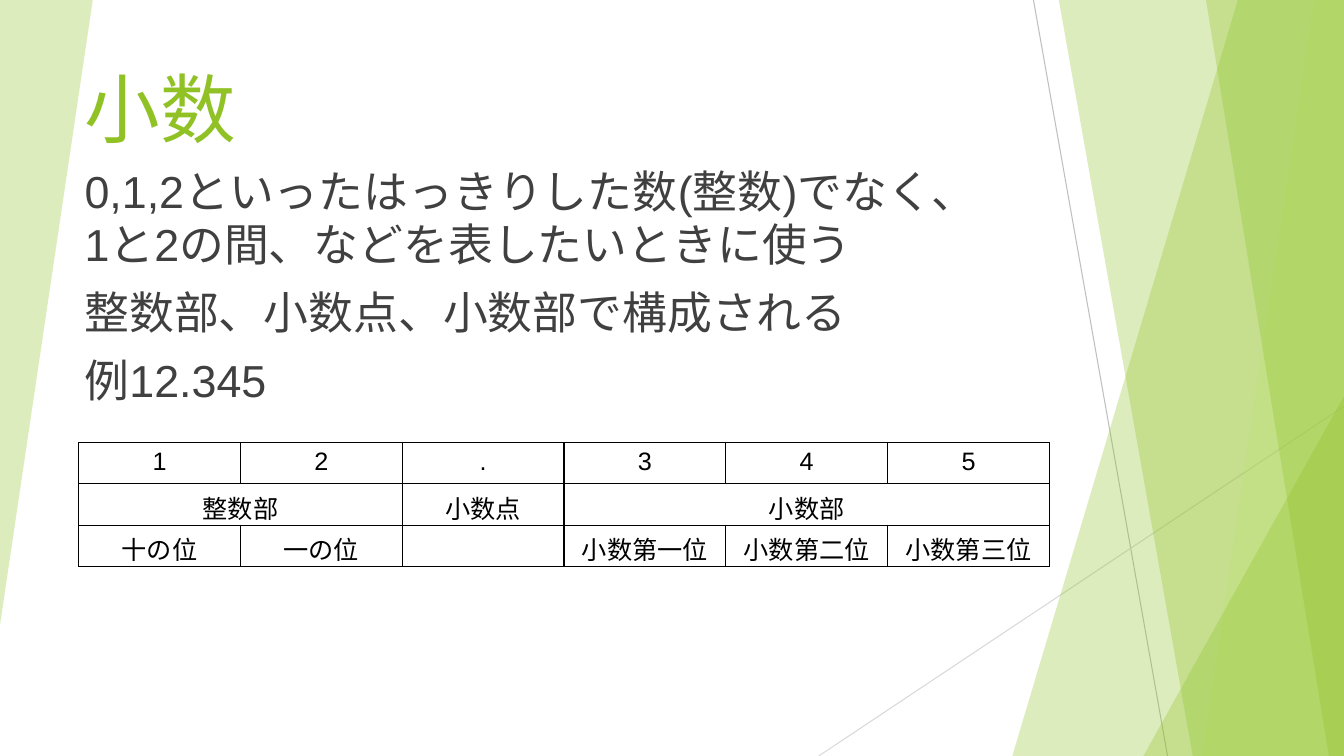
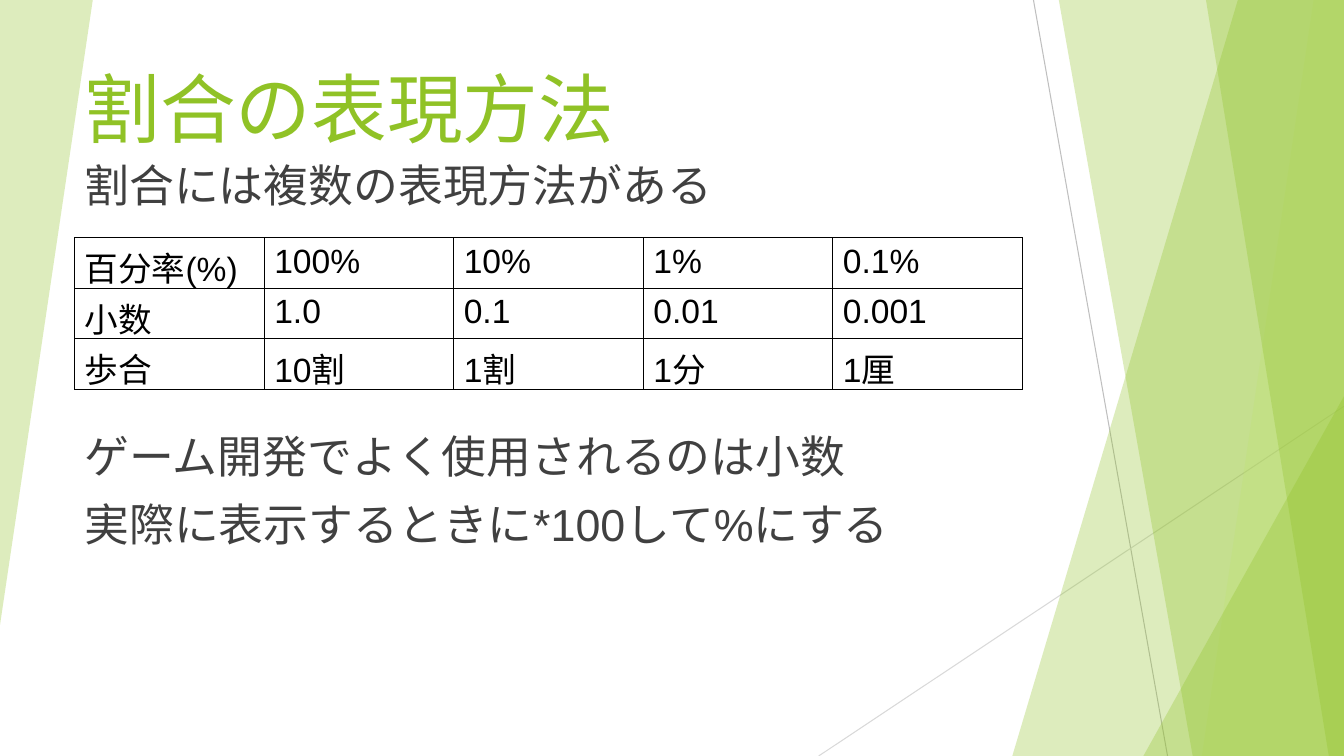
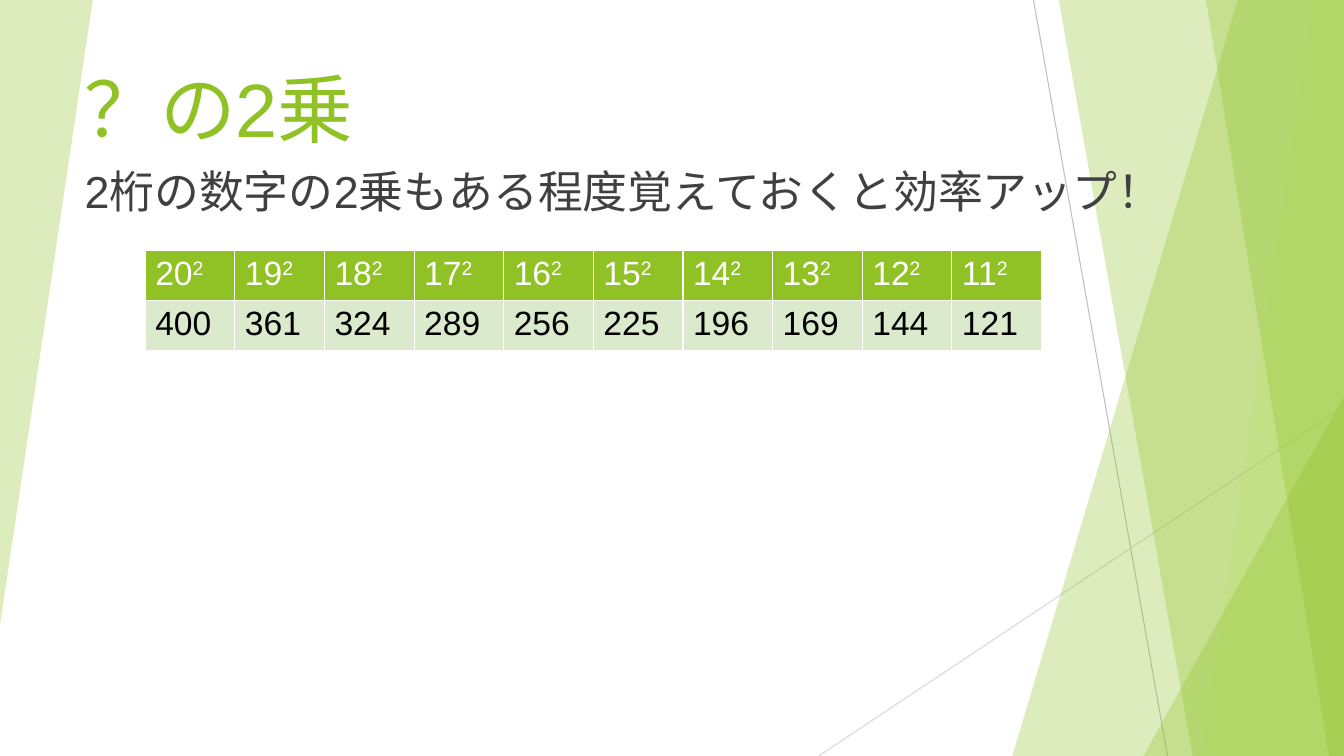
from pptx import Presentation
from pptx.dml.color import RGBColor
from pptx.enum.shapes import MSO_CONNECTOR, MSO_SHAPE
from pptx.enum.text import MSO_ANCHOR, PP_ALIGN
from pptx.oxml import parse_xml
from pptx.oxml.ns import nsdecls
from pptx.util import Inches, Pt

GREEN = RGBColor(0x90, 0xC2, 0x26)
LIME = RGBColor(0xC0, 0xE4, 0x74)
PALE = RGBColor(0xDB, 0xE9, 0xCD)
SILVER = RGBColor(0xBF, 0xBF, 0xBF)
MIST = RGBColor(0xD9, 0xD9, 0xD9)
INK = RGBColor(0x40, 0x40, 0x40)
BLACK = RGBColor(0, 0, 0)
WHITE = RGBColor(0xFF, 0xFF, 0xFF)

FONT = "Arial"
W, H = 13.33, 7.5
TOP = -0.01
LEFT = 0.74
WIDE = 11.81

# Each facet: top left x, top right x, bottom left x, colour
FACETS = [
    (12.28, W, 10.04, GREEN),
    (10.5, W, 11.83, GREEN),
    (13.03, W, 11.92, LIME),
    (11.96, W, 13.18, GREEN),
]
TRIANGLES = [((11.34, 3.93, 1.99, 3.57), 0), ((0, 0, 0.92, 6.2), 180)]
LINES = [((10.25, 0), (11.58, H), SILVER), ((W, 4.03), (8.12, H), MIST)]


class Deck:
    def __init__(self):
        self.prs = Presentation()
        self.prs.slide_width = Inches(W)
        self.prs.slide_height = Inches(H)

    def slide(self, title):
        self.s = self.prs.slides.add_slide(self.prs.slide_layouts[6])
        for start, end, color in LINES:
            self.line(start, end, color)
        for left, right, bottom, color in FACETS:
            self.facet([(left, TOP), (right, TOP), (W, H), (bottom, H)], color)
        for box, rotation in TRIANGLES:
            self.triangle(box, rotation)
        self.text((LEFT, 0.67, WIDE, 0.72), [title], 54, GREEN, line_spacing=0.9)

    def line(self, start, end, color):
        points = [Inches(v) for v in start + end]
        c = self.s.shapes.add_connector(MSO_CONNECTOR.STRAIGHT, *points)
        c.line.color.rgb = color
        c.line.width = Pt(0.75)
        c._element.spPr.append(parse_xml(f"<a:effectLst {nsdecls('a')}/>"))

    def tint(self, sp, color):
        """Fill with a 30 % opaque colour, without outline or shadow."""
        sp.shadow.inherit = False
        sp.line.fill.background()
        sp.fill.solid()
        sp.fill.fore_color.rgb = color
        clr = sp._element.spPr.xpath("./a:solidFill/a:srgbClr")[0]
        clr.append(parse_xml(f'<a:alpha {nsdecls("a")} val="30000"/>'))

    def facet(self, points, color):
        first, *rest = [(Inches(x), Inches(y)) for x, y in points]
        builder = self.s.shapes.build_freeform(*first)
        builder.add_line_segments(rest, close=True)
        self.tint(builder.convert_to_shape(), color)

    def triangle(self, box, rotation):
        sp = self.s.shapes.add_shape(
            MSO_SHAPE.ISOSCELES_TRIANGLE, *[Inches(v) for v in box])
        sp.adjustments[0] = 1
        sp.rotation = rotation
        self.tint(sp, GREEN)

    def style(self, p, size, color, **formats):
        for name, value in formats.items():
            setattr(p, name, value)
        for r in p.runs:
            r.font.name = FONT
            r.font.size = Pt(size)
            r.font.color.rgb = color

    def text(self, box, lines, size, color, **formats):
        sp = self.s.shapes.add_textbox(*[Inches(v) for v in box])
        tf = sp.text_frame
        tf.word_wrap = True
        tf.vertical_anchor = MSO_ANCHOR.TOP
        for i, line in enumerate(lines):
            p = tf.add_paragraph() if i else tf.paragraphs[0]
            p.text = line
            self.style(p, size, color, **formats)
        return tf

    def body(self, lines, top=1.57, width=WIDE):
        return self.text((LEFT, top, width, 5.09), lines, 32, INK,
                         line_spacing=Pt(38.4), space_before=Pt(10))

    def borders(self, cell, color):
        tcPr = cell._tc.get_or_add_tcPr()
        for i, side in enumerate("LRTB"):
            tcPr.insert(i, parse_xml(
                f'<a:ln{side} {nsdecls("a")} w="12700"><a:solidFill>'
                f'<a:srgbClr val="{color}"/></a:solidFill></a:ln{side}>'))

    def table(self, left, top, width, rows, size, align=PP_ALIGN.LEFT,
              border=BLACK, looks=None, merges=()):
        """Draw rows; looks gives (fill, text colour) per row, ^ a superscript."""
        frame = self.s.shapes.add_table(
            len(rows), len(rows[0]), Inches(left), Inches(top),
            Inches(width), Inches(0.41 * len(rows)))
        t = frame.table
        t.first_row = t.horz_banding = False
        for i, row in enumerate(rows):
            fill, color = looks[i] if looks else (None, BLACK)
            for j, value in enumerate(row):
                cell = t.cell(i, j)
                if fill is None:
                    cell.fill.background()
                else:
                    cell.fill.solid()
                    cell.fill.fore_color.rgb = fill
                self.borders(cell, border)
                p = cell.text_frame.paragraphs[0]
                base, _, power = value.partition("^")
                if base:
                    p.add_run().text = base
                if power:
                    r = p.add_run()
                    r.text = power
                    r.font._element.set("baseline", "30000")
                self.style(p, size, color, alignment=align)
        for row, first, last in merges:
            t.cell(row, first).merge(t.cell(row, last))


def main():
    deck = Deck()

    deck.slide("小数")
    deck.body(["0,1,2といったはっきりした数(整数)でなく、\v1と2の間、などを表したいときに使う",
               "整数部、小数点、小数部で構成される",
               "例12.345"])
    deck.table(0.78, 4.39, 9.63, [
        ["1", "2", ".", "3", "4", "5"],
        ["整数部", "", "小数点", "小数部", "", ""],
        ["十の位", "一の位", "", "小数第一位", "小数第二位", "小数第三位"],
    ], 18, PP_ALIGN.CENTER, merges=[(1, 0, 1), (1, 3, 5)])

    deck.slide("割合の表現方法")
    deck.table(LEFT, 2.36, 9.4, [
        ["百分率(%)", "100%", "10%", "1%", "0.1%"],
        ["小数", "1.0", "0.1", "0.01", "0.001"],
        ["歩合", "10割", "1割", "1分", "1厘"],
    ], 24)
    tf = deck.body(["割合には複数の表現方法がある",
                    "ゲーム開発でよく使用されるのは小数",
                    "実際に表示するときに*100して%にする"], 1.52, 9.4)
    tf.paragraphs[1].space_before = Pt(155)  # room for the table

    deck.slide("？の2乗")
    deck.body(["2桁の数字の2乗もある程度覚えておくと効率アップ！"])
    numbers = range(20, 10, -1)
    deck.table(1.44, 2.48, 8.89, [
        [f"{n}^2" for n in numbers],
        [str(n * n) for n in numbers],
    ], 24, border=WHITE, looks=[(GREEN, WHITE), (PALE, BLACK)])

    deck.prs.save("out.pptx")


if __name__ == "__main__":
    main()
